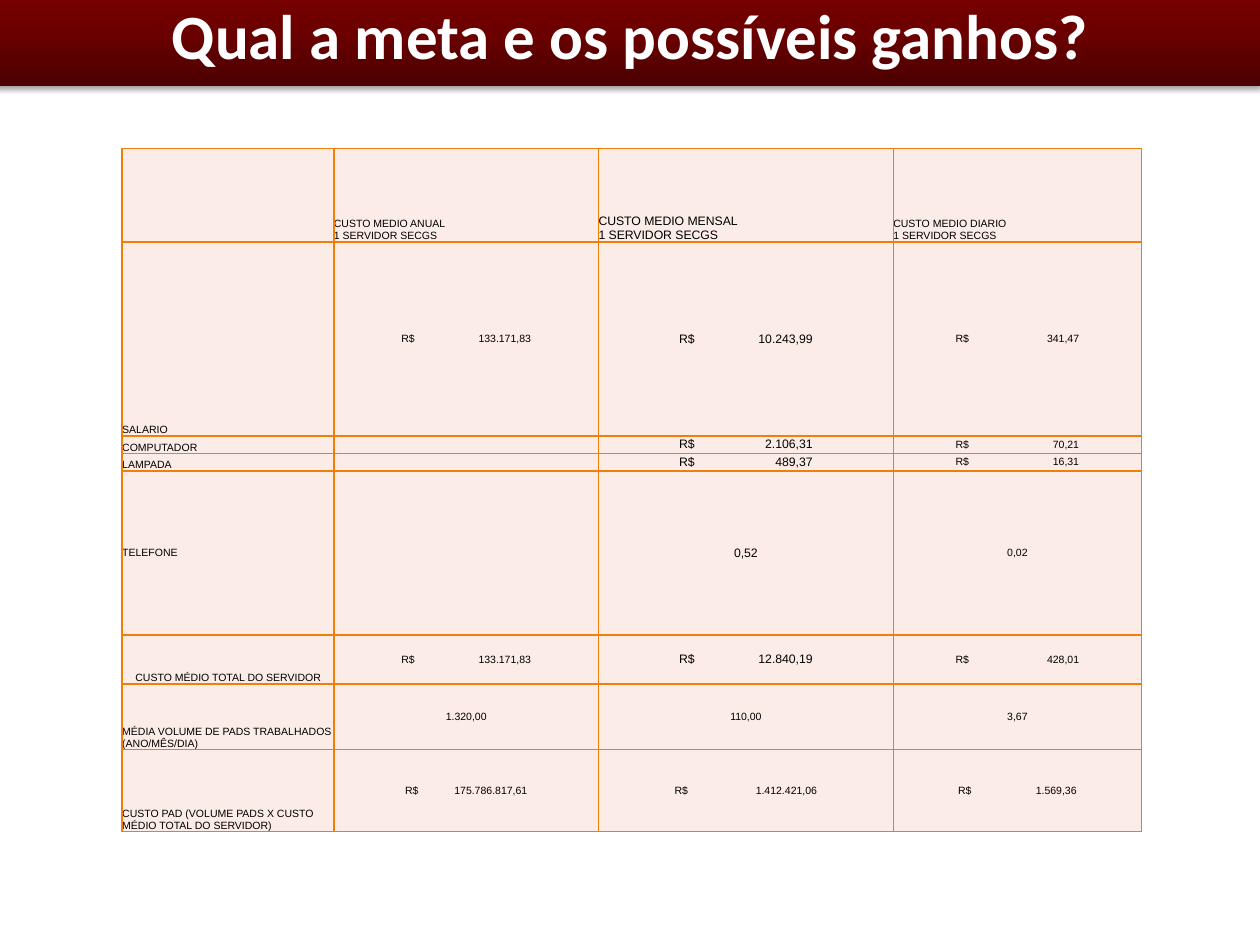
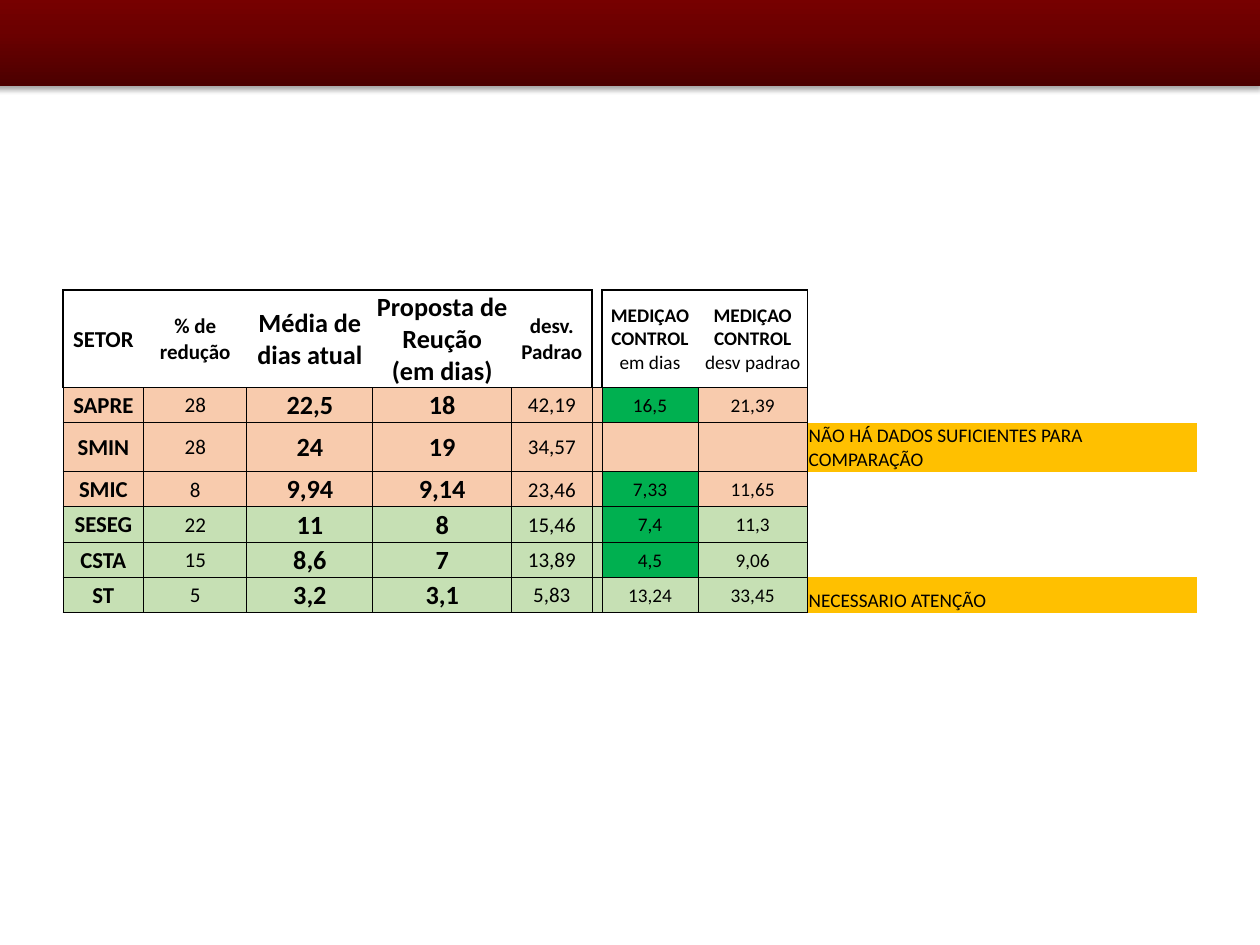
from lxml.etree import SubElement
from pptx import Presentation
from pptx.dml.color import RGBColor
from pptx.enum.shapes import MSO_SHAPE
from pptx.enum.text import MSO_ANCHOR, MSO_AUTO_SIZE, PP_ALIGN
from pptx.oxml import parse_xml
from pptx.oxml.ns import nsdecls, qn
from pptx.util import Inches, Pt

BLACK = RGBColor(0x00, 0x00, 0x00)
WHITE = RGBColor(0xFF, 0xFF, 0xFF)
ORANGE = RGBColor(0xF0, 0x7F, 0x09)
BLUSH = RGBColor(0xFC, 0xEC, 0xE7)
PEACH = RGBColor(0xF8, 0xCB, 0xAD)
LIGHT_GREEN = RGBColor(0xC6, 0xE0, 0xB4)
GOAL_GREEN = RGBColor(0x00, 0xB0, 0x50)
AMBER = RGBColor(0xFF, 0xC0, 0x00)
BAND_STOPS = [(0, RGBColor(0x4C, 0, 0)), (50, RGBColor(0x6C, 0, 0)), (100, RGBColor(0x80, 0, 0))]
SIDES = {"l": "a:lnL", "r": "a:lnR", "t": "a:lnT", "b": "a:lnB"}

TITLE = "Qual a meta e os possíveis ganhos?"
COST_ROWS = [
    ("", "CUSTO MEDIO ANUAL\n1 SERVIDOR SECGS", "CUSTO MEDIO MENSAL\n1 SERVIDOR SECGS",
     "CUSTO MEDIO DIARIO\n1 SERVIDOR SECGS"),
    ("SALARIO", "R$\t133.171,83", "R$\t10.243,99", "R$\t341,47"),
    ("COMPUTADOR", "", "R$\t2.106,31", "R$\t70,21"),
    ("LAMPADA", "", "R$\t489,37", "R$\t16,31"),
    ("TELEFONE", "", "0,52", "0,02"),
    ("CUSTO MÉDIO TOTAL DO SERVIDOR", "R$\t133.171,83", "R$\t12.840,19", "R$\t428,01"),
    ("MÉDIA VOLUME DE PADS TRABALHADOS (ANO/MÊS/DIA)", "1.320,00", "110,00", "3,67"),
    ("CUSTO PAD (VOLUME PADS X CUSTO MÉDIO TOTAL DO SERVIDOR)",
     "R$\t175.786.817,61", "R$\t1.412.421,06", "R$\t1.569,36"),
]
COST_WIDTHS = [1.68, 2.1, 2.34, 1.97]
COST_HEIGHTS = [0.74, 1.54, 0.14, 0.14, 1.3, 0.39, 0.52, 0.65]
AMOUNT_SPANS = [0, 1.03, 1.06, 0.98]
PAD_SPANS = [0, 0.97, 1.13, 0.94]
PHONE_ROW, TOTAL_ROW, VOLUME_ROW, PAD_ROW = 4, 5, 6, 7
MONTH_COLUMN = 2

SECTOR_HEADER = ("SETOR", "% de redução", "Média de dias atual", "Proposta de Reução\n(em dias)",
                 "desv. Padrao", "", "MEDIÇAO CONTROL\nem dias", "MEDIÇAO CONTROL\ndesv padrao", "")
SECTOR_ROWS = [
    ("SAPRE", "28", "22,5", "18", "42,19", "", "16,5", "21,39", ""),
    ("SMIN", "28", "24", "19", "34,57", "", "", "", "NÃO HÁ DADOS SUFICIENTES PARA COMPARAÇÃO"),
    ("SMIC", "8", "9,94", "9,14", "23,46", "", "7,33", "11,65", ""),
    ("SESEG", "22", "11", "8", "15,46", "", "7,4", "11,3", ""),
    ("CSTA", "15", "8,6", "7", "13,89", "", "4,5", "9,06", ""),
    ("ST", "5", "3,2", "3,1", "5,83", "", "13,24", "33,45", "NECESSARIO ATENÇÃO"),
]
SECTOR_WIDTHS = [0.64, 0.82, 1, 1.1, 0.64, 0.08, 0.76, 0.87, 3.09]
SECTOR_HEIGHTS = [0.77] + [0.28] * len(SECTOR_ROWS)
SECTOR_SIZES = [13, 12, 15, 15, 12, 11, 11, 11, 11]
SECTOR_BOLD_COLUMNS = {0, 2, 3}
HEADER_SIDES = ["lt", "t", "t", "t", "tr", "lr", "lt", "tr", "l"]
GOALS_MET = {"SAPRE", "SMIC", "SESEG", "CSTA"}
PEACH_SECTORS = {"SAPRE", "SMIN", "SMIC"}
CONTROL_COLUMN, NOTE_COLUMN = 6, 8


def add_band(slide):
    """Build the dark red band behind everything else on the slide."""
    band = slide.shapes.add_shape(MSO_SHAPE.RECTANGLE, Inches(-0.04), Inches(-0.19),
                                  Inches(10.04), Inches(0.87))
    band.line.fill.background()
    stops = "".join(f'<a:gs pos="{position * 1000}"><a:srgbClr val="{color}"/></a:gs>'
                    for position, color in BAND_STOPS)
    properties = band.element.spPr
    properties.insert(2, parse_xml(
        f'<a:gradFill {nsdecls("a")} rotWithShape="1"><a:gsLst>{stops}</a:gsLst>'
        '<a:lin ang="16200000" scaled="0"/></a:gradFill>'))
    properties.append(parse_xml(
        f'<a:effectLst {nsdecls("a")}><a:outerShdw blurRad="{Pt(3.1)}" dist="{Pt(1.8)}" '
        'dir="5400000" rotWithShape="0"><a:srgbClr val="000000"><a:alpha val="35000"/>'
        '</a:srgbClr></a:outerShdw></a:effectLst>'))
    slide.shapes.element.insert(2, band.element)


def add_title(slide, text):
    """Place the white title over the band."""
    title = slide.shapes.title
    title.left, title.top, title.width, title.height = Inches(0), Inches(-0.08), Inches(10), Inches(0.71)
    frame = title.text_frame
    frame.text = text
    frame.auto_size = MSO_AUTO_SIZE.NONE
    frame.vertical_anchor = MSO_ANCHOR.MIDDLE
    paragraph = frame.paragraphs[0]
    paragraph.alignment = PP_ALIGN.CENTER
    font = paragraph.runs[0].font
    font.name, font.size, font.bold, font.color.rgb = "Calibri", Pt(36), True, WHITE


def add_plain_table(slide, left, top, widths, heights):
    """Add a table without banding, sized by its columns and rows."""
    frame = slide.shapes.add_table(len(heights), len(widths), Inches(left), Inches(top),
                                   Inches(sum(widths)), Inches(sum(heights)))
    table = frame.table
    table.first_row = table.horz_banding = False
    for column, width in zip(table.columns, widths):
        column.width = Inches(width)
    for row, height in zip(table.rows, heights):
        row.height = Inches(height)
    return table


def set_cell(cell, text, font_name, size, alignment, anchor, margins, bold=(False,)):
    """Write one paragraph per line; bold gives the weight of each line."""
    cell.margin_left, cell.margin_top, cell.margin_right, cell.margin_bottom = map(Inches, margins)
    cell.vertical_anchor = anchor
    cell.text_frame.text = text
    for index, paragraph in enumerate(cell.text_frame.paragraphs):
        paragraph.alignment = alignment
        for run in paragraph.runs:
            font = run.font
            font.name, font.size, font.color.rgb = font_name, Pt(size), BLACK
            font.bold = bold[min(index, len(bold) - 1)]
        if not paragraph.runs:
            SubElement(paragraph._p, qn("a:endParaRPr"), sz=str(size * 100))


def set_fill(cell, color):
    """Fill a cell, or leave it clear when there is no colour."""
    if color is None:
        cell.fill.background()
    else:
        cell.fill.solid()
        cell.fill.fore_color.rgb = color


def set_borders(cell, color, widths):
    """Draw the sides named in widths and hide the others."""
    properties = cell._tc.get_or_add_tcPr()
    for position, (side, tag) in enumerate(SIDES.items()):
        width = widths.get(side, 0)
        paint = f'<a:solidFill><a:srgbClr val="{color}"/></a:solidFill>' if width else "<a:noFill/>"
        properties.insert(position, parse_xml(f'<{tag} {nsdecls("a")} w="{Pt(width)}">{paint}</{tag}>'))


def align_amount(cell, column_width, span):
    """Centre a currency sign and its right-aligned amount in the column."""
    cell.margin_left = Inches((column_width - span) / 2)
    tabs = SubElement(cell.text_frame.paragraphs[0]._p.get_or_add_pPr(), qn("a:tabLst"))
    SubElement(tabs, qn("a:tab"), pos=str(Inches(span)), algn="r")


def add_cost_table(slide):
    """Add the yearly, monthly and daily cost table."""
    table = add_plain_table(slide, 0.97, 1.18, COST_WIDTHS, COST_HEIGHTS)
    for row, values in enumerate(COST_ROWS):
        spans = PAD_SPANS if row == PAD_ROW else AMOUNT_SPANS
        for column, text in enumerate(values):
            cell = table.cell(row, column)
            is_label = row == 0 or column == 0
            is_amount = "\t" in text
            is_left = is_amount or (is_label and row != TOTAL_ROW)
            at_bottom = is_label and row != PHONE_ROW
            set_cell(cell, text, "Arial", 7 if column == MONTH_COLUMN and row < VOLUME_ROW else 6,
                     PP_ALIGN.LEFT if is_left else PP_ALIGN.CENTER,
                     MSO_ANCHOR.BOTTOM if at_bottom else MSO_ANCHOR.MIDDLE, (0, 0, 0, 0))
            if is_amount:
                align_amount(cell, COST_WIDTHS[column], spans[column])
            set_fill(cell, BLUSH)
            set_borders(cell, ORANGE, dict.fromkeys(SIDES, 1))


def sector_fill(sector, column, text):
    """Choose the colour of a sector cell."""
    if column == NOTE_COLUMN:
        return AMBER if text else None
    if column == CONTROL_COLUMN and sector in GOALS_MET:
        return GOAL_GREEN
    return PEACH if sector in PEACH_SECTORS else LIGHT_GREEN


def add_sector_table(slide):
    """Add the reduction proposal and control measurement by sector."""
    table = add_plain_table(slide, 0.5, 2.3, SECTOR_WIDTHS, SECTOR_HEIGHTS)
    for row, values in enumerate([SECTOR_HEADER] + SECTOR_ROWS):
        for column, text in enumerate(values):
            cell = table.cell(row, column)
            is_note = column == NOTE_COLUMN
            if row == 0:
                bold = (True, column < CONTROL_COLUMN)
                color = None
                borders = dict.fromkeys(HEADER_SIDES[column], 1)
                if not is_note:
                    borders["b"] = 0.5
            else:
                bold = (column in SECTOR_BOLD_COLUMNS,)
                color = sector_fill(values[0], column, text)
                borders = dict.fromkeys("l" if is_note else SIDES, 0.5)
            set_cell(cell, text, "Calibri", SECTOR_SIZES[column],
                     PP_ALIGN.LEFT if is_note else PP_ALIGN.CENTER,
                     MSO_ANCHOR.BOTTOM if is_note else MSO_ANCHOR.MIDDLE,
                     (0.01, 0.01, 0.01, 0), bold)
            set_fill(cell, color)
            set_borders(cell, BLACK, borders)


def main():
    """Build the two slides and save them."""
    presentation = Presentation()
    presentation.slide_width, presentation.slide_height = Inches(10), Inches(7.5)
    title_layout = presentation.slide_layouts.get_by_name("Title Only")
    blank_layout = presentation.slide_layouts.get_by_name("Blank")

    cost_slide = presentation.slides.add_slide(title_layout)
    add_band(cost_slide)
    add_title(cost_slide, TITLE)
    add_cost_table(cost_slide)

    sector_slide = presentation.slides.add_slide(blank_layout)
    add_band(sector_slide)
    add_sector_table(sector_slide)
    presentation.save("out.pptx")


if __name__ == "__main__":
    main()
